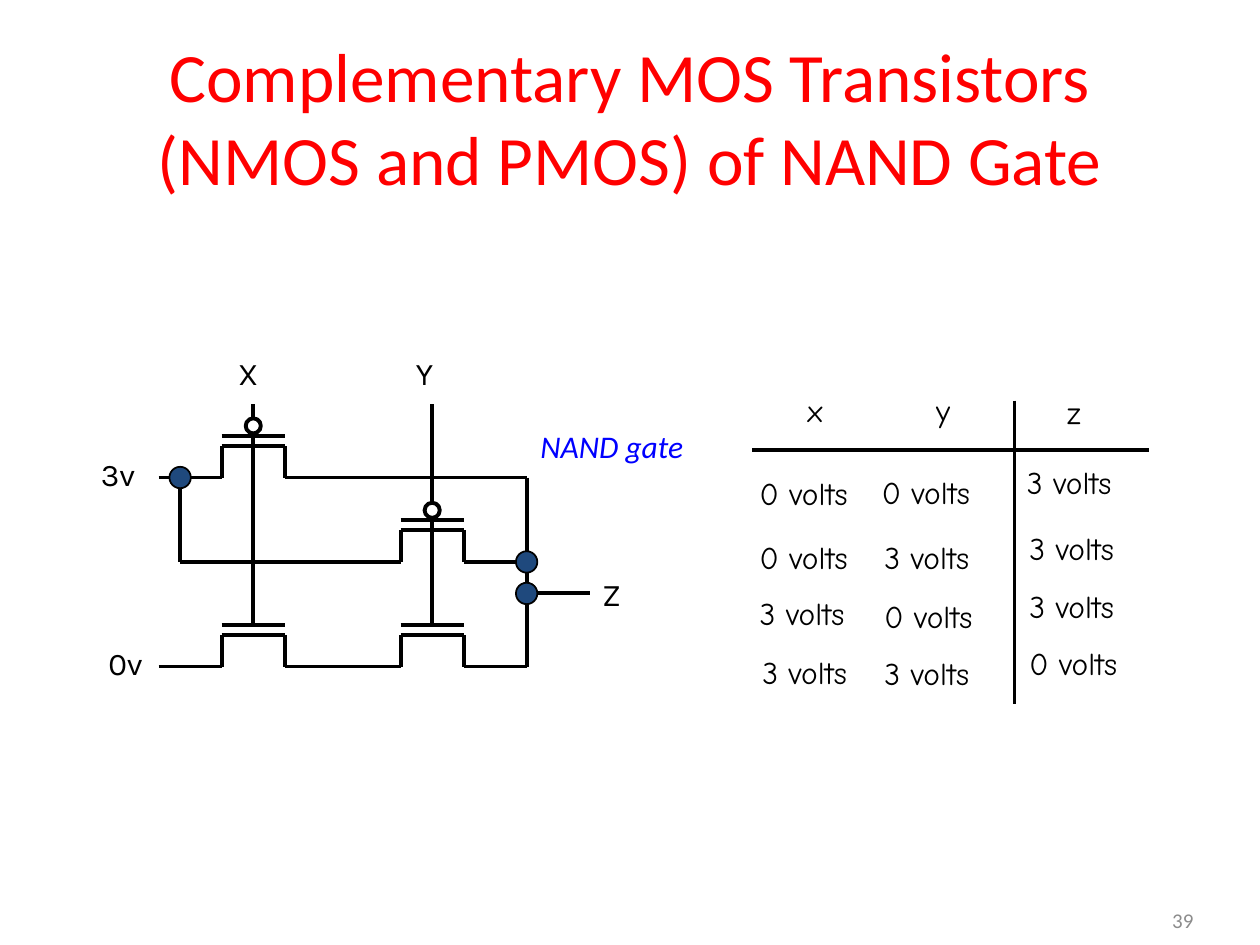
from lxml.etree import SubElement
from pptx import Presentation
from pptx.dml.color import RGBColor as RGB
from pptx.enum.shapes import MSO_CONNECTOR as Conn, MSO_SHAPE as Shape
from pptx.enum.text import MSO_ANCHOR as Anchor, PP_ALIGN as Align
from pptx.oxml.ns import qn
from pptx.util import Inches, Pt

COLORS = {"black": "000000", "white": "FFFFFF", "red": "FF0000",
          "blue": "0000FF", "navy": "1F497D", "gray": "8C8C8C"}

deck = Presentation()
deck.slide_width, deck.slide_height = Inches(10), Inches(7.5)
slide = deck.slides.add_slide(deck.slide_layouts[6])
shapes = slide.shapes


def add_text(text, x, y, w, h, font="Calibri", size=18, color="black", italic=False,
             align=Align.LEFT, anchor=Anchor.TOP, pad=(0.1, 0.05), pitch=None):
    frame = shapes.add_textbox(Inches(x), Inches(y), Inches(w), Inches(h)).text_frame
    frame.word_wrap = True
    frame.vertical_anchor = anchor
    frame.margin_left = frame.margin_right = Inches(pad[0])
    frame.margin_top = frame.margin_bottom = Inches(pad[1])
    para = frame.paragraphs[0]
    para.alignment = align
    if pitch:
        para.line_spacing = Pt(pitch)
    run = para.add_run()
    run.text = text
    run.font.name, run.font.size, run.font.italic = font, Pt(size), italic
    run.font.color.rgb = RGB.from_string(COLORS[color])


def add_line(x1, y1, x2, y2, width=2.25):
    line = shapes.add_connector(Conn.STRAIGHT, Inches(x1), Inches(y1), Inches(x2), Inches(y2))
    line.line.width = Pt(width)
    line.line.color.rgb = RGB.from_string(COLORS["black"])
    SubElement(line._element.spPr, qn("a:effectLst"))


# Title and page number
add_text("Complementary MOS Transistors (NMOS and PMOS) of NAND Gate", 0.5, 0.3, 9, 1.25,
         size=39.6, color="red", align=Align.CENTER, anchor=Anchor.MIDDLE)
add_text("39", 7.24, 7.1, 2.33, 0.4, size=12, color="gray",
         align=Align.RIGHT, anchor=Anchor.MIDDLE)

# Wires between the transistors
for wire in [(4.18, 3.79, 4.18, 5.29), (4.18, 4.71, 4.68, 4.71),
             (2.01, 3.21, 2.01, 4.8), (3.43, 3.21, 3.43, 4.8),
             (1.43, 4.46, 2.68, 4.46), (2.68, 3.79, 4.18, 3.79),
             (1.43, 3.79, 1.43, 4.46)]:
    add_line(*wire)

# Transistors: gate axis, channel level, and whether PMOS
circles = []
for x, y, pmos in [(2.01, 5.29, False), (2.01, 3.79, True),
                   (3.43, 5.29, False), (3.43, 4.46, True)]:
    left, right, top, plate = x - 0.25, x + 0.25, y - 0.25, y - 0.33
    add_line(left - 0.5, y, left, y)
    add_line(left, y, left, top)
    add_line(left, top, right, top)
    add_line(right, top, right, y)
    add_line(right, y, right + 0.5, y)
    add_line(left, plate, right, plate)
    add_line(x, plate, x, plate - 0.25)
    if pmos:
        circles.append((x, y - 0.41, 0.12, "white", 2.25))

# Inverter bubbles and junction dots
circles += [(x, y, 0.17, "navy", 1) for x, y in [(1.43, 3.79), (4.18, 4.46), (4.18, 4.71)]]
for x, y, size, fill, width in circles:
    dot = shapes.add_shape(Shape.OVAL, Inches(x - size / 2), Inches(y - size / 2),
                           Inches(size), Inches(size))
    dot.shadow.inherit = False
    dot.fill.solid()
    dot.fill.fore_color.rgb = RGB.from_string(COLORS[fill])
    dot.line.color.rgb = RGB.from_string(COLORS["black"])
    dot.line.width = Pt(width)

# Circuit labels
tight = {"pad": (0.02, 0.03), "pitch": 21}
for name, x, y in [("3v", 0.78, 3.59), ("0v", 0.84, 5.09), ("X", 1.87, 2.79),
                   ("Y", 3.28, 2.79), ("Z", 4.76, 4.54)]:
    add_text(name, x, y, 0.4, 0.45, font="Karla", **tight)
add_text("NAND gate", 3.78, 3.34, 2.15, 0.4, color="blue", italic=True, align=Align.CENTER)

# Truth table: rules, then heads and values by column
add_line(5.97, 3.57, 9.12, 3.57, width=2)
add_line(8.05, 3.18, 8.05, 5.59, width=2)
table = [
    ("x", 6.39, 3.08, [(0, 6.01, 3.74), (0, 6.01, 4.25), (3, 6.01, 4.69), (3, 6.03, 5.16)]),
    ("y", 7.41, 3.08, [(0, 6.98, 3.73), (3, 7, 4.25), (0, 7, 4.72), (3, 7, 5.17)]),
    ("z", 8.45, 3.1, [(3, 8.13, 3.65), (3, 8.15, 4.18), (3, 8.15, 4.64), (0, 8.15, 5.09)]),
]
for head, left, top, cells in table:
    add_text(head, left, top, 0.4, 0.45, font="Comic Neue", **tight)
    for volts, x, y in cells:
        add_text(f"{volts} volts", x, y, 0.97, 0.45, font="Comic Neue", **tight)

deck.save("out.pptx")
